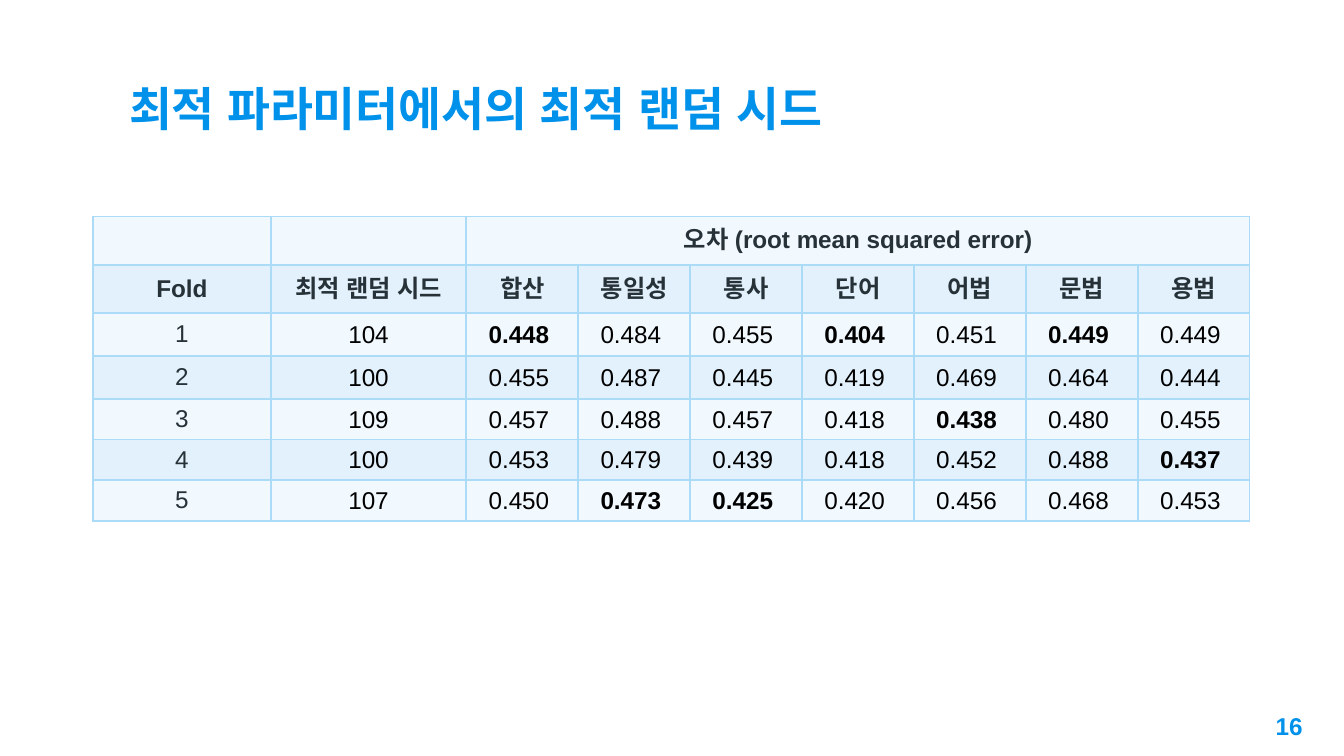
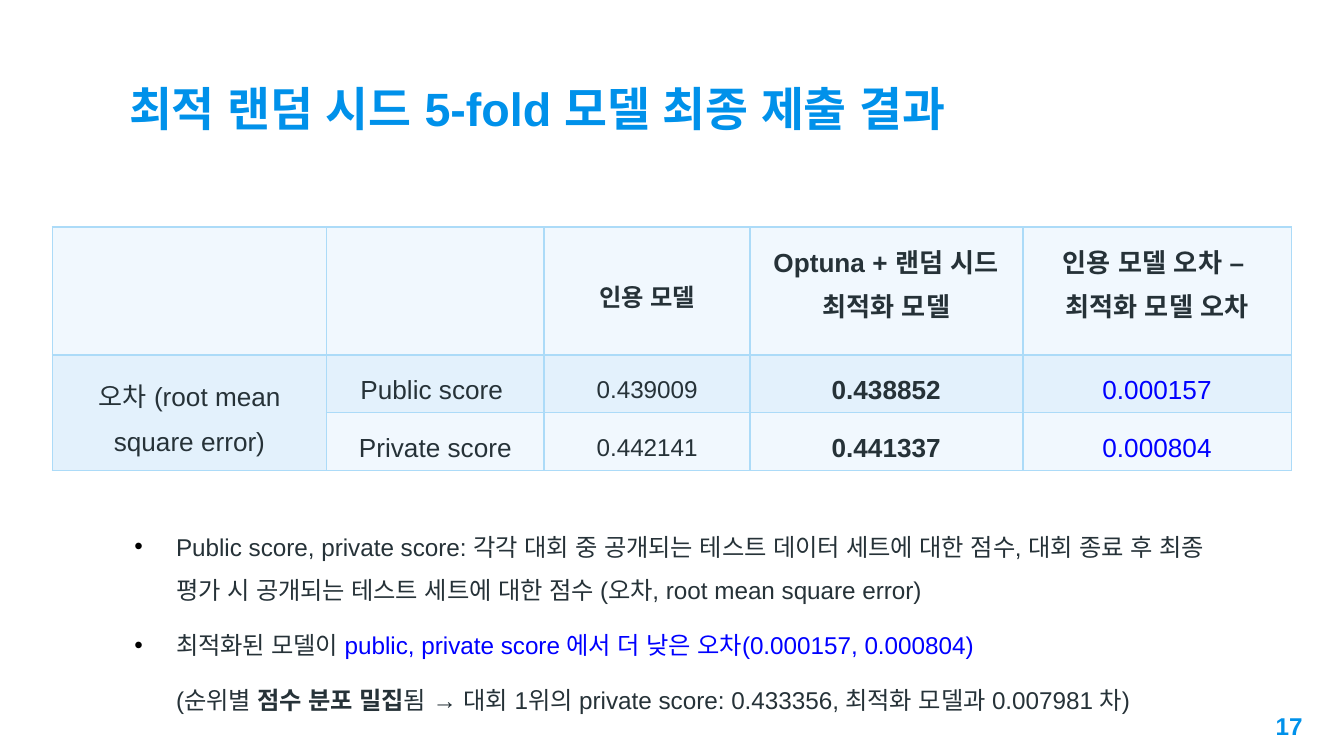
import dataclasses

import lxml.etree
import pptx
import pptx.dml.color
import pptx.enum.text
import pptx.oxml
import pptx.oxml.ns
import pptx.util

ALIGN = pptx.enum.text.PP_ALIGN
ANCHOR = pptx.enum.text.MSO_ANCHOR


@dataclasses.dataclass(frozen=True)
class Theme:
    """Colours, type sizes and font shared by all slides."""
    accent: str = "0091EA"
    ink: str = "263238"
    black: str = "000000"
    highlight: str = "0000FF"
    border: str = "ACDBF8"
    bands: tuple = ("F1F8FE", "E3F1FC")
    font: str = "Arial"
    title_size: int = 25
    text_size: int = 13
    large_size: int = 14


@dataclasses.dataclass(frozen=True)
class Box:
    """A region counted in columns and rows of the slide grid."""
    left: float
    top: float
    width: float
    height: float


THEME = Theme()
GRID = pptx.util.Inches(0.1)
COLUMNS, ROWS = 100, 56.25
TITLE_BOX = Box(8.6, 3.4, 92.8, 7.7)
NUMBER_BOX = Box(91.9, 51.9, 6, 4.3)
SEED_BOX = Box(6.9, 16.1, 86.1, 22.6)
SCORE_BOX = Box(3.9, 16.9, 92.2, 18.1)
NOTES_BOX = Box(9, 37.5, 82, 14.4)
INSET = pptx.util.Inches(0.1)
TIGHT = pptx.util.Inches(0.01)
HANGING = pptx.util.Inches(0.31)

SUBJECTS = ("합산", "통일성", "통사", "단어", "어법", "문법", "용법")
FOLDS = (
    (104, (0.448, 0.484, 0.455, 0.404, 0.451, 0.449, 0.449)),
    (100, (0.455, 0.487, 0.445, 0.419, 0.469, 0.464, 0.444)),
    (109, (0.457, 0.488, 0.457, 0.418, 0.438, 0.480, 0.455)),
    (100, (0.453, 0.479, 0.439, 0.418, 0.452, 0.488, 0.437)),
    (107, (0.450, 0.473, 0.425, 0.420, 0.456, 0.468, 0.453)),
)
SCORES = (
    ("Public score ", "0.439009", "0.438852", "0.000157"),
    ("Private score", "0.442141", "0.441337", "0.000804"),
)
NOTES = (
    (True, (("Public score, private score: 각각 대회 중 공개되는 테스트 데이터 세트에 대한 점수, "
             "대회 종료 후 최종 평가 시 공개되는 테스트 세트에 대한 점수 "
             "(오차, root mean square error)", {}),)),
    (True, (("최적화된 모델이 ", {}),
            ("public, private score 에서 더 낮은 오차(0.000157, 0.000804)",
             {"color": THEME.highlight}))),
    (False, (("(순위별 ", {}), ("점수 분포 밀집", {"bold": True}),
             ("됨 → 대회 1위의 private score: 0.433356, 최적화 모델과 0.007981 차)", {}))),
)


def set_all(target, values):
    """Set each named attribute of the target."""
    for name, value in values.items():
        setattr(target, name, value)


def place(box):
    """Return a grid box as slide lengths."""
    return [round(GRID * length) for length in dataclasses.astuple(box)]


def move(shape, box):
    """Move a shape to a grid box."""
    set_all(shape, dict(zip(("left", "top", "width", "height"), place(box))))


def format_frame(frame, anchor):
    """Give a text frame the shared insets and wrapping."""
    set_all(frame, {"word_wrap": True, "vertical_anchor": anchor,
                    "auto_size": pptx.enum.text.MSO_AUTO_SIZE.NONE,
                    "margin_left": INSET, "margin_right": INSET,
                    "margin_top": INSET, "margin_bottom": INSET})


def add_run(paragraph, text, size=THEME.text_size, color=THEME.ink, bold=False):
    """Add a formatted run to a paragraph."""
    run = paragraph.add_run()
    run.text = text
    set_all(run.font, {"size": pptx.util.Pt(size), "bold": bold, "name": THEME.font})
    run.font.color.rgb = pptx.dml.color.RGBColor.from_string(color)
    east_asian = lxml.etree.SubElement(run.font._element, pptx.oxml.ns.qn("a:ea"))
    east_asian.set("typeface", THEME.font)


def add_border(properties, position, side):
    """Insert one cell border line."""
    properties.insert(position, pptx.oxml.parse_xml(
        f'<a:ln{side} {pptx.oxml.ns.nsdecls("a")} w="12700"><a:solidFill>'
        f'<a:srgbClr val="{THEME.border}"/></a:solidFill></a:ln{side}>'))


def add_grid(slide, box, widths, heights):
    """Add a banded, bordered table that fills the box."""
    frame = slide.shapes.add_table(len(heights), len(widths), *place(box))
    table = frame.table
    set_all(table, {"first_row": False, "horz_banding": False})
    for column, width in zip(table.columns, widths):
        column.width = round(GRID * box.width * width / sum(widths))
    for index, (row, height) in enumerate(zip(table.rows, heights)):
        row.height = round(GRID * box.height * height / sum(heights))
        for cell in row.cells:
            cell.fill.solid()
            cell.fill.fore_color.rgb = pptx.dml.color.RGBColor.from_string(
                THEME.bands[index % len(THEME.bands)])
            for position, side in enumerate("LRTB"):
                add_border(cell._tc.get_or_add_tcPr(), position, side)
            end = lxml.etree.SubElement(cell.text_frame.paragraphs[0]._p,
                                        pptx.oxml.ns.qn("a:endParaRPr"))
            end.set("sz", str(THEME.text_size * 100))
    return table


def write_cell(cell, text, spacing=1.0, anchor=ANCHOR.MIDDLE, tight=False, **style):
    """Write centred lines of text into a table cell."""
    cell.vertical_anchor = anchor
    if tight:
        set_all(cell, {"margin_left": TIGHT, "margin_right": TIGHT,
                       "margin_top": TIGHT, "margin_bottom": 0})
    frame = cell.text_frame
    for index, line in enumerate(text.split("\n")):
        paragraph = frame.add_paragraph() if index else frame.paragraphs[0]
        set_all(paragraph, {"alignment": ALIGN.CENTER, "line_spacing": spacing})
        add_run(paragraph, line, **style)


def add_page(presentation, layout, title, number):
    """Add a slide with its title and page number."""
    slide = presentation.slides.add_slide(presentation.slide_layouts.get_by_name(layout))
    heading = slide.shapes.title
    page = slide.shapes.add_textbox(*place(NUMBER_BOX))
    move(heading, TITLE_BOX)
    for shape, anchor, alignment, text, size in (
            (heading, ANCHOR.BOTTOM, ALIGN.LEFT, title, THEME.title_size),
            (page, ANCHOR.TOP, ALIGN.RIGHT, str(number), THEME.text_size)):
        format_frame(shape.text_frame, anchor)
        paragraph = shape.text_frame.paragraphs[0]
        paragraph.alignment = alignment
        add_run(paragraph, text, size=size, color=THEME.accent, bold=True)
    return slide


def add_seed_table(slide, box):
    """Add the errors per fold, with the lowest of each subject in bold."""
    table = add_grid(slide, box, (1.32, 1.45) + (0.83,) * len(SUBJECTS),
                     (0.36, 0.36, 0.32, 0.32, 0.3, 0.3, 0.3))
    table.cell(0, 2).merge(table.cell(0, 1 + len(SUBJECTS)))
    write_cell(table.cell(0, 2), "오차 (root mean squared error)", bold=True)
    for column, heading in enumerate(("Fold", "최적 랜덤 시드") + SUBJECTS):
        write_cell(table.cell(1, column), heading, bold=True)
    lowest = [min(errors) for errors in zip(*(errors for seed, errors in FOLDS))]
    for fold, (seed, errors) in enumerate(FOLDS, start=1):
        row = fold + 1
        write_cell(table.cell(row, 0), str(fold))
        write_cell(table.cell(row, 1), str(seed), tight=True, color=THEME.black)
        for column, (error, best) in enumerate(zip(errors, lowest), start=2):
            write_cell(table.cell(row, column), f"{error:.3f} ", tight=True,
                       color=THEME.black, bold=error == best)


def add_score_table(slide, box):
    """Add the scores of both models and their difference."""
    table = add_grid(slide, box, (2.04, 1.62, 1.53, 2.03, 2), (0.95, 0.43, 0.43))
    large = {"size": THEME.large_size, "anchor": ANCHOR.TOP}
    styles = (large, {}, {**large, "bold": True}, {**large, "color": THEME.highlight})
    headings = (("인용 모델", {}), ("Optuna + 랜덤 시드 최적화 모델", large),
                ("인용 모델 오차 – \n최적화 모델 오차", large))
    for column, (heading, style) in enumerate(headings, start=2):
        write_cell(table.cell(0, column), heading, spacing=1.5, bold=True, **style)
    table.cell(1, 0).merge(table.cell(2, 0))
    write_cell(table.cell(1, 0), "오차 (root mean square error)", spacing=1.5,
               size=THEME.large_size)
    for row, scores in enumerate(SCORES, start=1):
        for column, (score, style) in enumerate(zip(scores, styles), start=1):
            write_cell(table.cell(row, column), score, spacing=1.5, **style)


def format_bullet(paragraph, bulleted):
    """Set the hanging bullet of a paragraph, or indent it without one."""
    properties = paragraph._p.get_or_add_pPr()
    properties.set("marL", str(HANGING))
    properties.set("indent", str(-HANGING if bulleted else 0))
    names = pptx.oxml.ns.qn
    if bulleted:
        color = lxml.etree.SubElement(properties, names("a:buClr"))
        lxml.etree.SubElement(color, names("a:srgbClr")).set("val", THEME.black)
        lxml.etree.SubElement(properties, names("a:buChar")).set("char", "•")
    else:
        lxml.etree.SubElement(properties, names("a:buNone"))


def add_notes(slide, box):
    """Fill the body placeholder with the remarks on the scores."""
    body = slide.placeholders[1]
    move(body, box)
    frame = body.text_frame
    format_frame(frame, ANCHOR.TOP)
    for index, (bulleted, runs) in enumerate(NOTES):
        paragraph = frame.add_paragraph() if index else frame.paragraphs[0]
        set_all(paragraph, {"alignment": ALIGN.LEFT, "line_spacing": 1.5,
                            "space_before": pptx.util.Pt(6)})
        format_bullet(paragraph, bulleted)
        for text, style in runs:
            add_run(paragraph, text, **style)


def main():
    """Build and save the presentation."""
    presentation = pptx.Presentation()
    set_all(presentation, {"slide_width": round(GRID * COLUMNS),
                           "slide_height": round(GRID * ROWS)})
    seeds = add_page(presentation, "Title Only", "최적 파라미터에서의 최적 랜덤 시드", 16)
    add_seed_table(seeds, SEED_BOX)
    results = add_page(presentation, "Title and Content",
                       "최적 랜덤 시드 5-fold 모델 최종 제출 결과", 17)
    add_score_table(results, SCORE_BOX)
    add_notes(results, NOTES_BOX)
    presentation.save("out.pptx")


if __name__ == "__main__":
    main()
